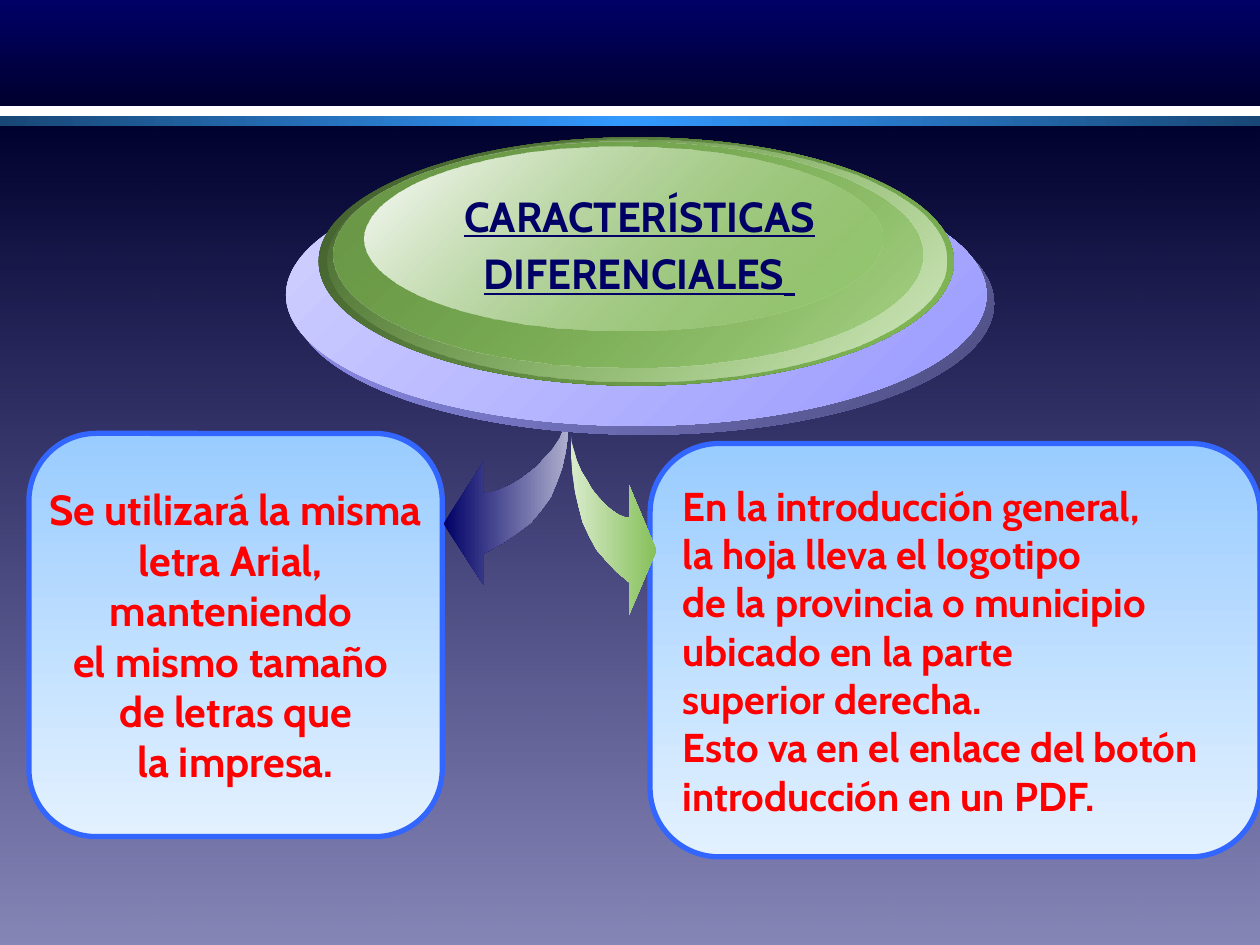
from typing import NamedTuple

from pptx import Presentation
from pptx.dml.color import RGBColor
from pptx.enum.shapes import MSO_SHAPE as Preset
from pptx.enum.text import MSO_ANCHOR as Anchor, PP_ALIGN as Align
from pptx.oxml import parse_xml
from pptx.oxml.ns import nsdecls, qn
from pptx.util import Inches, Pt

NAVY = RGBColor(0x00, 0x00, 0x66)
MIDNIGHT = RGBColor(0x00, 0x00, 0x2F)
TEAL = RGBColor(0x18, 0x47, 0x76)
AZURE = RGBColor(0x33, 0x99, 0xFF)
SKY = RGBColor(0x99, 0xCC, 0xFF)
ICE = RGBColor(0xE3, 0xF1, 0xFF)
BORDER_BLUE = RGBColor(0x33, 0x66, 0xFF)
RED = RGBColor(0xFF, 0x00, 0x00)
MIST = RGBColor(0xAE, 0xAE, 0xCE)
GREEN = RGBColor(0x86, 0xC0, 0x5A)
PALE_GREEN = RGBColor(0xD9, 0xEB, 0xCB)
RIM_GREEN = RGBColor(0xD5, 0xE9, 0xC5)
MOSS = RGBColor(0x6A, 0x98, 0x47)
DARK_GREEN = RGBColor(0x3E, 0x59, 0x2A)
LAVENDER = RGBColor(0x99, 0x99, 0xFF)
PALE_LAVENDER = RGBColor(0xD2, 0xD2, 0xFF)
DARK_LAVENDER = RGBColor(0x4A, 0x4A, 0x7C)
WHITE = RGBColor(0xFF, 0xFF, 0xFF)


class Stop(NamedTuple):
    position: int
    color: RGBColor
    opacity: int = 100


class Area(NamedTuple):
    left: float
    top: float
    width: float
    height: float
    stops: list[Stop]


class Card(NamedTuple):
    area: Area
    lines: list[str]
    size: int
    align: Align


class Arrow(NamedTuple):
    start_x: float
    start_y: float
    width: float  # negative points left
    height: float
    stops: list[Stop]


BANDS = [
    (Area(0, 0, 10, 0.84, [Stop(0, NAVY), Stop(100, MIDNIGHT)]), 90),
    (Area(0, 0.99, 10, 6.51, [Stop(0, MIDNIGHT), Stop(100, NAVY, 48)]), 90),
    (Area(0, 0.92, 10, 0.08, [Stop(0, TEAL), Stop(50, AZURE), Stop(100, TEAL)]), 0),
]

CARD_STOPS = [Stop(0, SKY), Stop(100, ICE)]
CARDS = [
    Card(Area(5.16, 3.52, 4.84, 3.28, CARD_STOPS),
         ["En la introducción general,", "la hoja lleva el logotipo",
          "de la provincia o municipio", "ubicado en la parte",
          "superior derecha.", "Esto va en el enlace del botón",
          "introducción en un PDF."], 23, Align.LEFT),
    Card(Area(0.23, 3.44, 3.28, 3.2, CARD_STOPS),
         ["Se utilizará la misma", "letra Arial, ", "manteniendo ",
          "el mismo tamaño ", "de letras que", " la impresa. "], 24, Align.CENTER),
]

# Curved arrow outline, in percent of its width and height from the tail
ARROW_OUTLINE = [
    (0, 0), (0, 11), (2, 22), (5, 32), (9, 40), (14, 49), (22, 57), (30, 64),
    (41, 70), (53, 76), (68, 82), (68, 100), (100, 64.5), (68, 28.5), (68, 46.5),
    (61, 46), (54.5, 44.5), (47, 42), (39.5, 39), (32, 35), (25, 31), (19, 26),
    (12.5, 21), (7, 15), (4, 10), (1, 5),
]
ARROWS = [
    Arrow(4.51, 3.28, -0.99, 1.36, [Stop(0, NAVY), Stop(100, MIST)]),
    Arrow(4.53, 3.44, 0.68, 1.44, [Stop(0, PALE_GREEN), Stop(100, GREEN)]),
]

EMBLEM = [
    Area(2.33, 1.37, 5.56, 2.08, [Stop(0, LAVENDER), Stop(100, DARK_LAVENDER)]),
    Area(2.27, 1.3, 5.56, 2.08, [Stop(0, PALE_LAVENDER), Stop(100, LAVENDER)]),
    Area(2.53, 1.09, 5.04, 1.97, [Stop(0, DARK_GREEN), Stop(100, GREEN)]),
    Area(2.6, 1.11, 4.91, 1.92, [Stop(0, GREEN, 0), Stop(100, RIM_GREEN)]),
    Area(2.65, 1.12, 4.67, 1.8, [Stop(0, MOSS), Stop(100, GREEN, 48)]),
    Area(2.89, 1.16, 4.11, 1.46, [Stop(0, WHITE), Stop(100, GREEN, 38)]),
]


def paint(shape, stops: list[Stop], angle: int) -> None:
    """Fill with a gradient whose angle runs clockwise; no line, no shadow."""
    shape.shadow.inherit = False
    shape.line.fill.background()
    shape.fill.gradient()
    shape.fill.gradient_angle = -angle % 360
    marks = "".join(
        f'<a:gs pos="{stop.position * 1000}"><a:srgbClr val="{stop.color}">'
        f'<a:alpha val="{stop.opacity * 1000}"/></a:srgbClr></a:gs>'
        for stop in stops)
    old_stops = next(shape._element.spPr.iter(qn("a:gsLst")))
    old_stops.getparent().replace(
        old_stops, parse_xml(f'<a:gsLst {nsdecls("a")}>{marks}</a:gsLst>'))


def add_area(shapes, preset: Preset, area: Area, angle: int):
    box = (Inches(length) for length in area[:4])
    shape = shapes.add_shape(preset, *box)
    paint(shape, area.stops, angle)
    return shape


def add_run(paragraph, text: str, color: RGBColor, **formats) -> None:
    run = paragraph.add_run()
    run.text = text
    for name, value in {"name": "Cabin", "bold": True, **formats}.items():
        setattr(run.font, name, value)
    run.font.color.rgb = color


def add_card(shapes, card: Card) -> None:
    shape = add_area(shapes, Preset.ROUNDED_RECTANGLE, card.area, 90)
    shape.line.color.rgb = BORDER_BLUE
    shape.line.width = Pt(3)
    frame = shape.text_frame
    frame.word_wrap = False
    frame.vertical_anchor = Anchor.MIDDLE
    for index, line in enumerate(card.lines):
        paragraph = frame.add_paragraph() if index else frame.paragraphs[0]
        paragraph.alignment = card.align
        add_run(paragraph, line, RED, size=Pt(card.size))


def add_arrow(shapes, arrow: Arrow) -> None:
    points = [(Inches(arrow.start_x + arrow.width * x / 100),
               Inches(arrow.start_y + arrow.height * y / 100))
              for x, y in ARROW_OUTLINE]
    builder = shapes.build_freeform(*points[0])
    builder.add_line_segments(points[1:], close=True)
    paint(builder.convert_to_shape(), arrow.stops, 0)


def add_title(shapes) -> None:
    title = shapes.add_textbox(Inches(3.2), Inches(1.46), Inches(3.75), Inches(0.97))
    title.text_frame.word_wrap = True
    paragraph = title.text_frame.paragraphs[0]
    paragraph.alignment = Align.CENTER
    for text, size in (("CARACTERÍSTICAS DIFERENCIALES", 24), (" ", 28)):
        add_run(paragraph, text, NAVY, size=Pt(size), underline=True)


def main() -> None:
    deck = Presentation()
    deck.slide_width, deck.slide_height = Inches(10), Inches(7.5)
    shapes = deck.slides.add_slide(deck.slide_layouts[6]).shapes

    # Background bands
    for band, angle in BANDS:
        add_area(shapes, Preset.RECTANGLE, band, angle)

    # Text cards and the arrows that lead to them
    for card in CARDS:
        add_card(shapes, card)
    for arrow in ARROWS:
        add_arrow(shapes, arrow)

    # Layered emblem with the title
    emblem = shapes.add_group_shape()
    for layer in EMBLEM:
        add_area(emblem.shapes, Preset.OVAL, layer, 45)
    add_title(shapes)

    deck.save("out.pptx")


if __name__ == "__main__":
    main()
